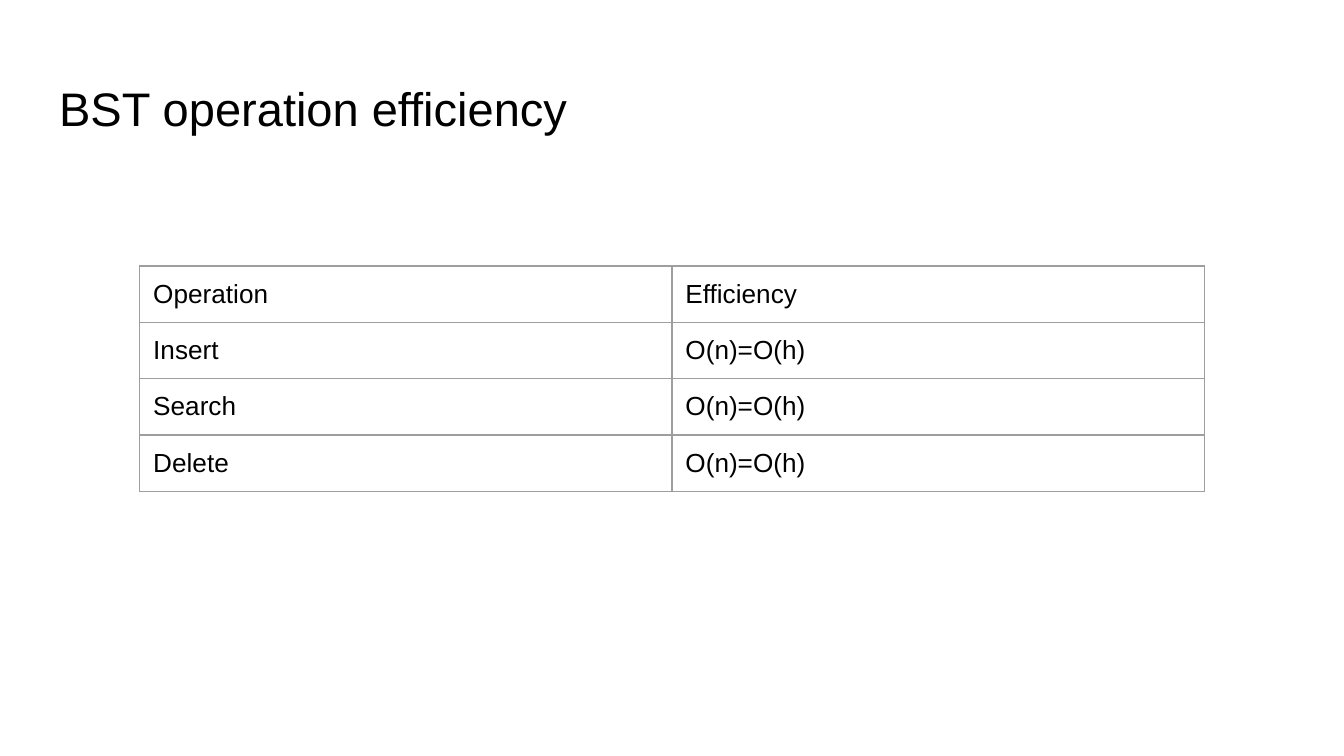
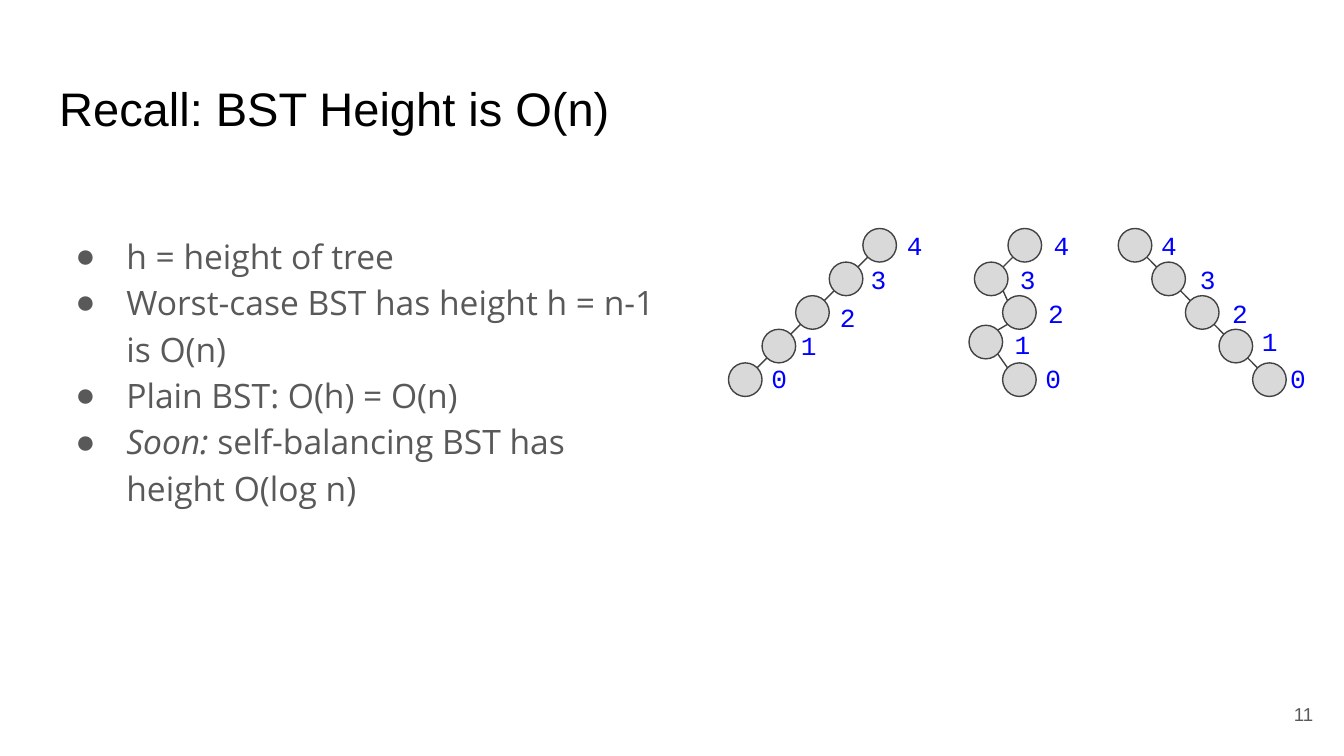
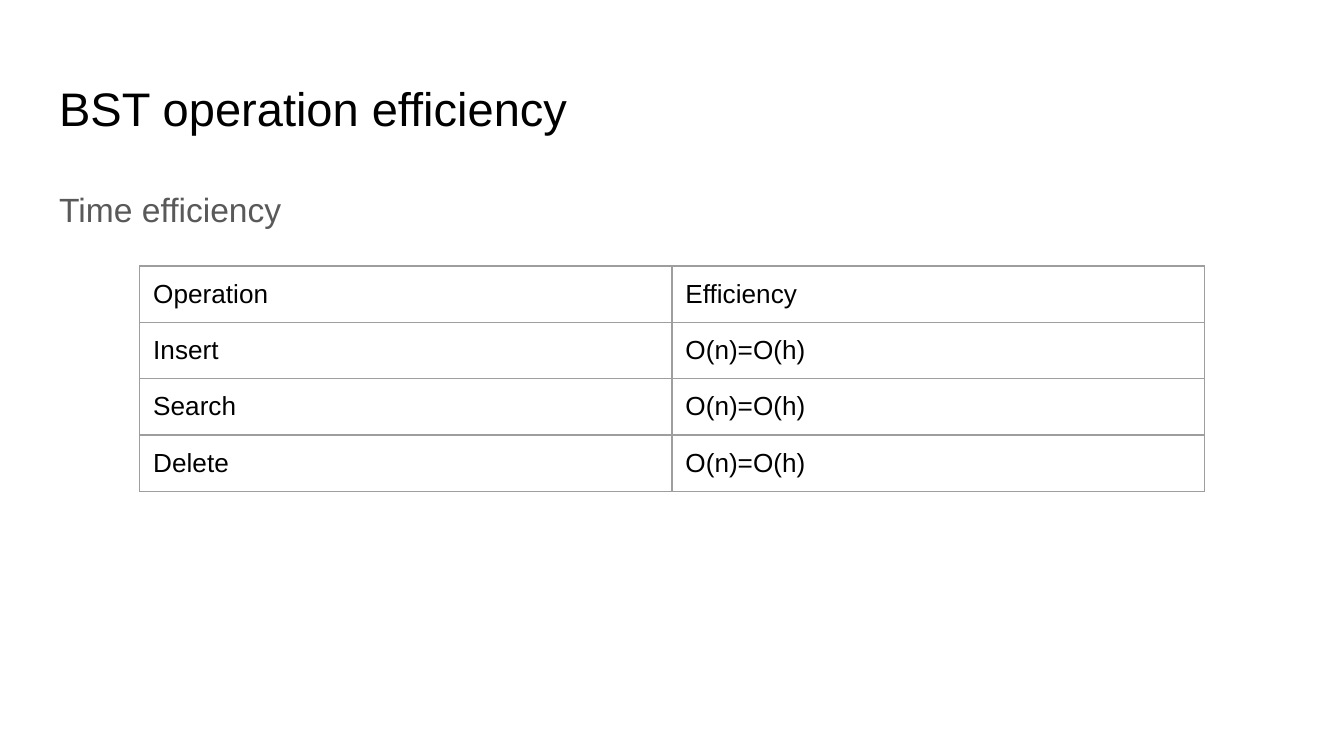
from lxml import etree
from pptx import Presentation
from pptx.dml.color import RGBColor
from pptx.enum.shapes import MSO_CONNECTOR, MSO_SHAPE
from pptx.enum.text import MSO_ANCHOR, MSO_AUTO_SIZE, PP_ALIGN
from pptx.oxml.ns import qn
from pptx.util import Inches, Pt

STRAIGHT, ELLIPSE = MSO_CONNECTOR.STRAIGHT, MSO_SHAPE.OVAL
TOP, MIDDLE = MSO_ANCHOR.TOP, MSO_ANCHOR.MIDDLE
LEFT, RIGHT = PP_ALIGN.LEFT, PP_ALIGN.RIGHT
FIXED = MSO_AUTO_SIZE.NONE

# Shared style
BLACK, GREY, BORDER = "000000", "595959", "9E9E9E"
NODE_FILL, NODE_LINE, LABEL = "D9D9D9", "424242", "0000FF"
SANS, BODY_FONT, MONO = "Arial", "Open Sans", "Courier New"
INSET, THIN = 0.1, 0.75
TITLE_BOX = (0.34, 0.49, 9.32, 0.63)
TABLE_BOX = (1.04, 1.98, 7.92, 1.67)
NODE = 0.25  # node diameter

EFFICIENCY = [("Operation", "Efficiency")] + [
    (operation, "O(n)=O(h)") for operation in ("Insert", "Search", "Delete")]

# Each node from leaf to root: left and top of the circle, then of its label
LEFT_TREE = [(0, 1.0, 0.22, 0.9), (0.25, 0.75, 0.44, 0.65),
             (0.5, 0.5, 0.73, 0.44), (0.75, 0.25, 0.96, 0.16),
             (1.0, 0, 1.23, -0.09)]
ZIGZAG_TREE = [(0.25, 1.0, 0.47, 0.9), (0, 0.72, 0.24, 0.64),
               (0.25, 0.5, 0.49, 0.41), (0.04, 0.25, 0.28, 0.16),
               (0.29, 0, 0.53, -0.09)]
RIGHT_TREE = [(1.0, 1.0, 1.18, 0.9), (0.75, 0.75, 0.97, 0.62),
              (0.5, 0.5, 0.75, 0.41), (0.25, 0.25, 0.51, 0.16),
              (0, 0, 0.22, -0.09)]


def color(value):
    return RGBColor.from_string(value)


def inches(*lengths):
    return [Inches(length) for length in lengths]


def style_runs(paragraph, size, font, hex_color):
    for run in paragraph.runs:
        run.font.size = Pt(size)
        run.font.name = font
        run.font.color.rgb = color(hex_color)


def set_frame(frame, anchor=TOP):
    frame.word_wrap = True
    frame.auto_size = FIXED
    frame.vertical_anchor = anchor
    frame.margin_left = frame.margin_right = Inches(INSET)
    frame.margin_top = frame.margin_bottom = Inches(INSET)


def place(shape, box):
    shape.left, shape.top, shape.width, shape.height = inches(*box)


def add_title(slide, text):
    title = slide.shapes.title
    place(title, TITLE_BOX)
    set_frame(title.text_frame)
    title.text_frame.text = text
    paragraph = title.text_frame.paragraphs[0]
    paragraph.alignment = LEFT
    style_runs(paragraph, 25.2, SANS, BLACK)


def add_body(slide, box, lines, font, bullet=None, space_after=0):
    """Fill the body placeholder; each line is a list of (text, italic)."""
    body = slide.placeholders[1]
    place(body, box)
    frame = body.text_frame
    set_frame(frame)
    for index, line in enumerate(lines):
        paragraph = frame.add_paragraph() if index else frame.paragraphs[0]
        for text, italic in line:
            run = paragraph.add_run()
            run.text = text
            run.font.italic = italic
        paragraph.alignment = LEFT
        paragraph.line_spacing = 1.15
        paragraph.space_before = Pt(0)
        paragraph.space_after = Pt(space_after)
        style_runs(paragraph, 18, font, GREY)
        set_bullet(paragraph, bullet)


def set_bullet(paragraph, bullet):
    props = paragraph._p.get_or_add_pPr()
    props.set("marL", str(Inches(0.5 if bullet else 0)))
    props.set("indent", str(Inches(-0.38 if bullet else 0)))
    if bullet:
        tint = etree.SubElement(props, qn("a:buClr"))
        etree.SubElement(tint, qn("a:srgbClr"), val=GREY)
        etree.SubElement(props, qn("a:buFont"), typeface=SANS)
        etree.SubElement(props, qn("a:buChar"), char=bullet)
    else:
        etree.SubElement(props, qn("a:buNone"))


def add_label(slide, box, text, size, font, hex_color, align=LEFT, anchor=TOP):
    label = slide.shapes.add_textbox(*inches(*box))
    set_frame(label.text_frame, anchor)
    label.text_frame.text = text
    paragraph = label.text_frame.paragraphs[0]
    paragraph.alignment = align
    style_runs(paragraph, size, font, hex_color)


def set_borders(cell):
    props = cell._tc.get_or_add_tcPr()
    for index, side in enumerate(("a:lnL", "a:lnR", "a:lnT", "a:lnB")):
        line = etree.Element(qn(side), w=str(Pt(THIN)))
        fill = etree.SubElement(line, qn("a:solidFill"))
        etree.SubElement(fill, qn("a:srgbClr"), val=BORDER)
        props.insert(index, line)


def add_efficiency_table(slide, box):
    rows, columns = len(EFFICIENCY), len(EFFICIENCY[0])
    table = slide.shapes.add_table(rows, columns, *inches(*box)).table
    table.first_row = table.horz_banding = False
    for row, entries in enumerate(EFFICIENCY):
        for column, text in enumerate(entries):
            cell = table.cell(row, column)
            cell.margin_left = cell.margin_right = Inches(INSET)
            cell.margin_top = cell.margin_bottom = Inches(INSET)
            cell.fill.background()
            set_borders(cell)
            cell.text_frame.text = text
            style_runs(cell.text_frame.paragraphs[0], 14, SANS, BLACK)


def add_edge(slide, child, parent):
    """Join the child's upper corner to the parent's lower one."""
    radius = NODE / 2
    reach = radius * 0.71
    side = reach if parent[0] > child[0] else -reach
    edge = slide.shapes.add_connector(STRAIGHT, *inches(
        child[0] + radius + side, child[1] + radius - reach,
        parent[0] + radius - side, parent[1] + radius + reach))
    edge.line.color.rgb = color(NODE_LINE)
    edge.line.width = Pt(THIN)
    etree.SubElement(edge._element.spPr, qn("a:effectLst"))


def add_tree(slide, left, top, nodes):
    corners = [(left + x, top + y) for x, y, _, _ in nodes]
    for x, y in corners:
        circle = slide.shapes.add_shape(ELLIPSE, *inches(x, y, NODE, NODE))
        circle.shadow.inherit = False
        circle.fill.solid()
        circle.fill.fore_color.rgb = color(NODE_FILL)
        circle.line.color.rgb = color(NODE_LINE)
        circle.line.width = Pt(THIN)
    for child, parent in zip(corners, corners[1:]):
        add_edge(slide, child, parent)
    # Height of each node
    for height, (_, _, x, y) in enumerate(nodes):
        add_label(slide, (left + x, top + y, 0.25, 0.44), str(height),
                  14, MONO, LABEL)


def efficiency_slide(deck, subtitle=None):
    slide = deck.slides.add_slide(deck.slide_layouts[1 if subtitle else 5])
    add_title(slide, "BST operation efficiency")
    if subtitle:
        add_body(slide, (0.34, 1.26, 9.32, 3.74), [[(subtitle, False)]],
                 SANS, space_after=12)
    add_efficiency_table(slide, TABLE_BOX)


def height_slide(deck):
    slide = deck.slides.add_slide(deck.slide_layouts[1])
    add_title(slide, "Recall: BST Height is O(n)")
    add_body(slide, (0.34, 1.61, 4.66, 3.39), [
        [("h = height of tree", False)],
        [("Worst-case BST has height h = n-1 is O(n)", False)],
        [("Plain BST: O(h) = O(n)", False)],
        [("Soon:", True), (" self-balancing BST has height O(log n)", False)],
    ], BODY_FONT, bullet="●")
    # Page number
    add_label(slide, (9.27, 5.1, 0.6, 0.43), "11", 10, SANS, GREY,
              RIGHT, MIDDLE)
    # Worst-case trees
    for left, nodes in ((5.42, LEFT_TREE), (8.32, RIGHT_TREE),
                        (7.21, ZIGZAG_TREE)):
        add_tree(slide, left, 1.7, nodes)


deck = Presentation()
deck.slide_width = Inches(10)
deck.slide_height = deck.slide_width * 9 // 16
efficiency_slide(deck)
height_slide(deck)
efficiency_slide(deck, "Time efficiency")
deck.save("out.pptx")
